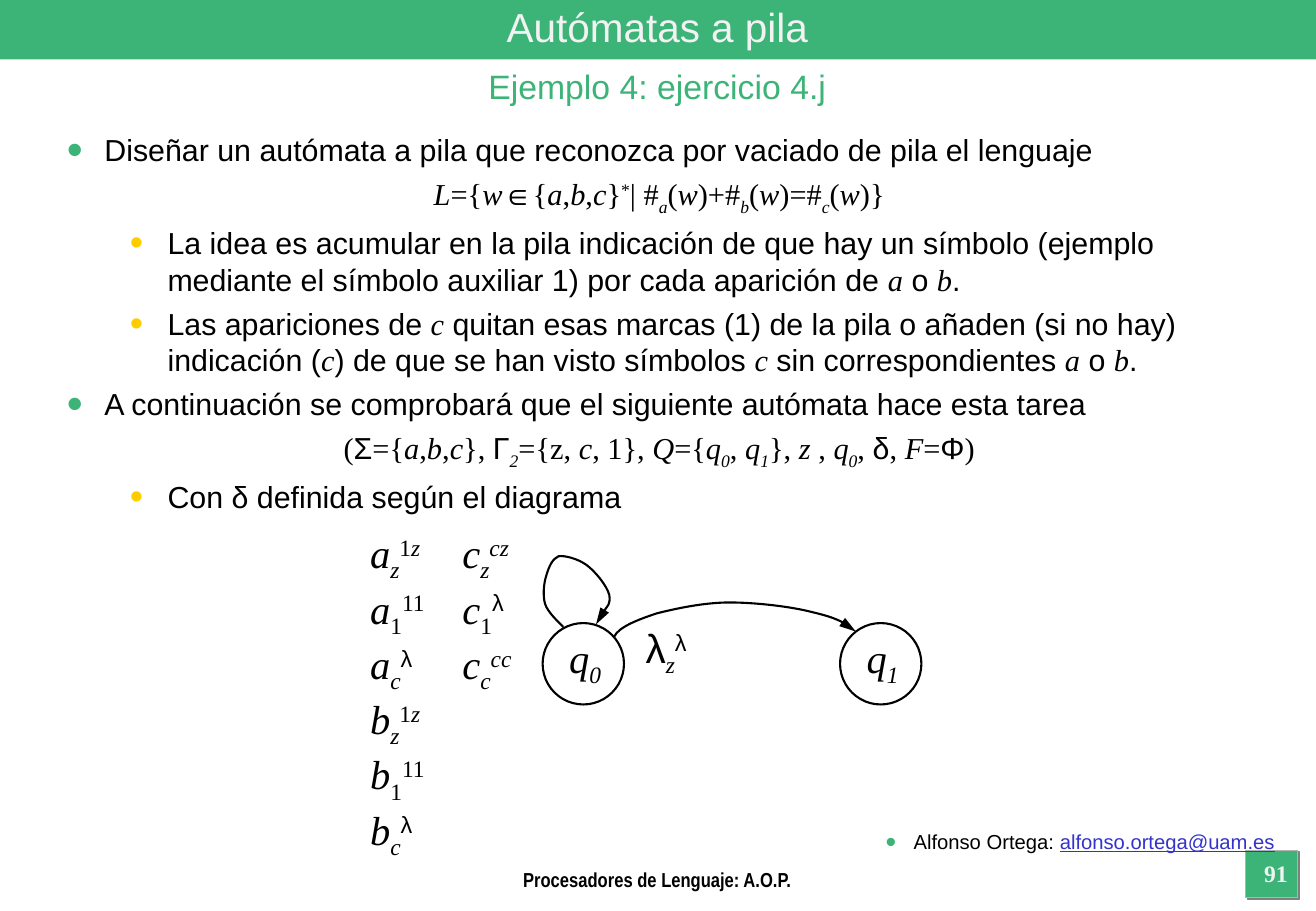
from lxml.etree import SubElement
from pptx import Presentation
from pptx.dml.color import RGBColor
from pptx.enum.shapes import MSO_SHAPE as Shape
from pptx.enum.text import MSO_ANCHOR as Anchor, MSO_AUTO_SIZE as AutoSize, PP_ALIGN as Align
from pptx.oxml.ns import qn
from pptx.util import Pt

PX = 9144  # 100 px to the inch
GREEN = RGBColor(0x3C, 0xB4, 0x78)
YELLOW = RGBColor(0xFF, 0xCC, 0x00)
BLACK = RGBColor(0x00, 0x00, 0x00)
PALE = RGBColor(0xF2, 0xF2, 0xF2)
BLUE = RGBColor(0x33, 0x33, 0xCC)
GREY = RGBColor(0xB2, 0xB2, 0xB2)
SANS, SERIF = "Arial", "Times New Roman"

# Code letter that opens each span: font, italic, baseline in 1/1000 percent
STYLES = {
    "a": (SANS, False, 0),
    "r": (SERIF, False, 0),
    "i": (SERIF, True, 0),
    "s": (SERIF, True, -25000),
    "d": (SERIF, False, -25000),
    "u": (SERIF, False, 30000),
    "p": (SERIF, True, 30000),
    "g": (SANS, False, 30000),
}


def write(para, markup, size, colour=BLACK, align=Align.LEFT, bullet=None):
    """Fill a paragraph with spans split by "/", each opened by a STYLES code.

    bullet is (colour, size percent, left margin px, hanging px).
    """
    props = para._p.get_or_add_pPr()
    if bullet:
        bullet_colour, percent, margin, hanging = bullet
        props.set("marL", str(margin * PX))
        props.set("indent", str(-hanging * PX))
        holder = SubElement(props, qn("a:buClr"))
        SubElement(holder, qn("a:srgbClr"), val=str(bullet_colour))
        SubElement(props, qn("a:buSzPct"), val=str(percent * 1000))
        SubElement(props, qn("a:buFont"), typeface=SANS)
        SubElement(props, qn("a:buChar"), char="•")
    else:
        props.set("marL", "0")
        props.set("indent", "0")
        SubElement(props, qn("a:buNone"))
    para.alignment = align
    para.font.name = SANS
    para.font.size = Pt(size)
    para.font.color.rgb = colour
    for piece in markup.split("/"):
        font, italic, baseline = STYLES[piece[0]]
        span = para.add_run()
        span.text = piece[1:]
        if font != SANS:
            span.font.name = font
        if italic:
            span.font.italic = True
        if baseline:
            span._r.get_or_add_rPr().set("baseline", str(baseline))


def add_box(left, top, width, height, wrap=True):
    box = page.shapes.add_textbox(left * PX, top * PX, width * PX, height * PX)
    box.text_frame.word_wrap = wrap
    return box.text_frame


deck = Presentation()
deck.slide_width, deck.slide_height = 1084 * PX, 750 * PX
page = deck.slides.add_slide(deck.slide_layouts[1])
shapes = page.shapes

# Header band and page number tile, behind everything else
band = shapes.add_shape(Shape.RECTANGLE, 0, 0, 1085 * PX, 49 * PX)
tile = shapes.add_shape(Shape.RECTANGLE, 1026 * PX, 700 * PX, 43 * PX, 39 * PX)
for block in (band, tile):
    block.shadow.inherit = False
    block.fill.solid()
    block.fill.fore_color.rgb = GREEN
    shapes._spTree.insert(2, block._element)
band.line.fill.background()
tile.line.color.rgb = GREY
tile.line.width = Pt(0.75)
effects = tile._element.spPr.find(qn("a:effectLst"))
shadow = SubElement(effects, qn("a:outerShdw"), dist=str(Pt(1.4)), dir="2700000", algn="ctr")
SubElement(shadow, qn("a:srgbClr"), val="808080")

# Title and subtitle
title = shapes.title
title.left, title.top, title.width, title.height = 0, 0, 1083 * PX, 44 * PX
title.text_frame.auto_size = AutoSize.NONE
title.text_frame.vertical_anchor = Anchor.MIDDLE
write(title.text_frame.paragraphs[0], "aAutómatas a pila", 24, PALE, Align.CENTER)
subtitle = add_box(0, 49, 1083, 44)
write(subtitle.paragraphs[0], "aEjemplo 4: ejercicio 4.j", 20, GREEN, Align.CENTER)

# Body
MAIN = (GREEN, 150, 31, 31)
SUB = (YELLOW, 125, 83, 31)
statements = [
    (MAIN, "aDiseñar un autómata a pila que reconozca por vaciado de pila el lenguaje"),
    (None, "iL/r={/iw/a∈/r{/ia/r,/ib/r,/ic/r}/u*/r| #/sa/r(/iw/r)+#/sb/r(/iw/r)=#/sc/r(/iw/r)}"),
    (SUB, "aLa idea es acumular en la pila indicación de que hay un símbolo (ejemplo "
          "mediante el símbolo auxiliar 1) por cada aparición de /ia/a o /ib/a."),
    (SUB, "aLas apariciones de /ic/a quitan esas marcas (1) de la pila o añaden (si no hay) "
          "indicación (/ic/a) de que se han visto símbolos /ic/a sin correspondientes "
          "/ia/a o /ib/a."),
    (MAIN, "aA continuación se comprobará que el siguiente autómata hace esta tarea"),
    (None, "r(/aΣ/r={/ia/r,/ib/r,/ic/r}, /aΓ/s2/r={z, /ic/r, 1}, /iQ/r={/iq/s0/r, /iq/s1/r}, "
           "/iz /r, /iq/s0/r, /aδ/r, /iF/r=/aΦ/r)"),
    (SUB, "aCon δ definida según el diagrama"),
]
body = page.placeholders[1]
body.left, body.top, body.width, body.height = 45 * PX, 103 * PX, 996 * PX, 580 * PX
frame = body.text_frame
frame.auto_size = AutoSize.NONE
for index, (bullet, markup) in enumerate(statements):
    para = frame.add_paragraph() if index else frame.paragraphs[0]
    para.level = 1 if bullet is SUB else 0
    write(para, markup, 18, align=Align.LEFT if bullet else Align.CENTER, bullet=bullet)
    para.space_before = Pt(4.5 if index else 0)

# States
for left, number in ((447, 0), (692, 1)):
    state = shapes.add_shape(Shape.OVAL, left * PX, 513 * PX, 67 * PX, 67 * PX)
    state.shadow.inherit = False
    state.fill.background()
    state.line.color.rgb = BLACK
    state.line.width = Pt(1.25)
    label = add_box(left + 7, 516, 56, 56, wrap=False)
    write(label.paragraphs[0], f"iq/s{number}", 24, align=Align.CENTER)

# Transitions: a start point, then three points for each Bézier curve
step_to_q1 = [(506, 524), (510, 516), (526, 510), (541, 505), (557, 501), (580, 496),
              (601, 496), (621, 496), (648, 499), (665, 503), (682, 507), (698, 512), (705, 520)]
loop_on_q0 = [(464, 516), (461, 513), (451, 504), (449, 497), (447, 490), (448, 480),
              (450, 474), (452, 467), (455, 460), (460, 458), (465, 457), (476, 460),
              (483, 465), (490, 470), (500, 482), (502, 490), (503, 498), (493, 509), (491, 514)]
for start, *points in (step_to_q1, loop_on_q0):
    builder = shapes.build_freeform(*start, scale=PX)
    builder.add_line_segments(points, close=False)
    arrow = builder.convert_to_shape()
    arrow.shadow.inherit = False
    arrow.fill.background()
    arrow.line.color.rgb = BLACK
    arrow.line.width = Pt(1.25)
    SubElement(arrow.line._get_or_add_ln(), qn("a:tailEnd"), type="triangle", len="lg")
    outline = arrow._element.find(".//" + qn("a:path"))
    segments = outline.findall(qn("a:lnTo"))
    for first in range(0, len(segments), 3):
        curve = SubElement(outline, qn("a:cubicBezTo"))
        for segment in segments[first:first + 3]:
            curve.append(segment[0])
            outline.remove(segment)

# Transition labels
label_columns = [
    ((522, 508, 70, 56), ["aλ/sz/gλ"]),
    ((371, 430, 75, 147), ["ic/sz/pcz", "ic/d1/gλ", "ic/sc/pcc"]),
    ((295, 430, 75, 283), ["ia/sz/u1/pz", "ia/d1/u11", "ia/sc/gλ",
                           "ib/sz/u1/pz", "ib/d1/u11", "ib/sc/gλ"]),
]
for place, labels in label_columns:
    column = add_box(*place)
    for index, markup in enumerate(labels):
        para = column.add_paragraph() if index else column.paragraphs[0]
        write(para, markup, 24)

# Contact, footer and page number
contact = add_box(302, 678, 758, 44).paragraphs[0]
write(contact, "aAlfonso Ortega: /aalfonso.ortega@uam.es", 12, align=Align.RIGHT,
      bullet=(GREEN, 150, 23, 23))
address = contact.runs[1]
address.font.color.rgb = BLUE
address.font.underline = True
for place, text, size, colour, font in (
    ((301, 709, 481, 18), "aProcesadores de Lenguaje: A.O.P.", 12, BLACK, "Arial Narrow"),
    ((1024, 702, 54, 35), "a91", 14, PALE, SERIF),
):
    para = add_box(*place).paragraphs[0]
    write(para, text, size, colour, Align.CENTER)
    para.font.name = font
    para.font.bold = True

deck.save("out.pptx")
